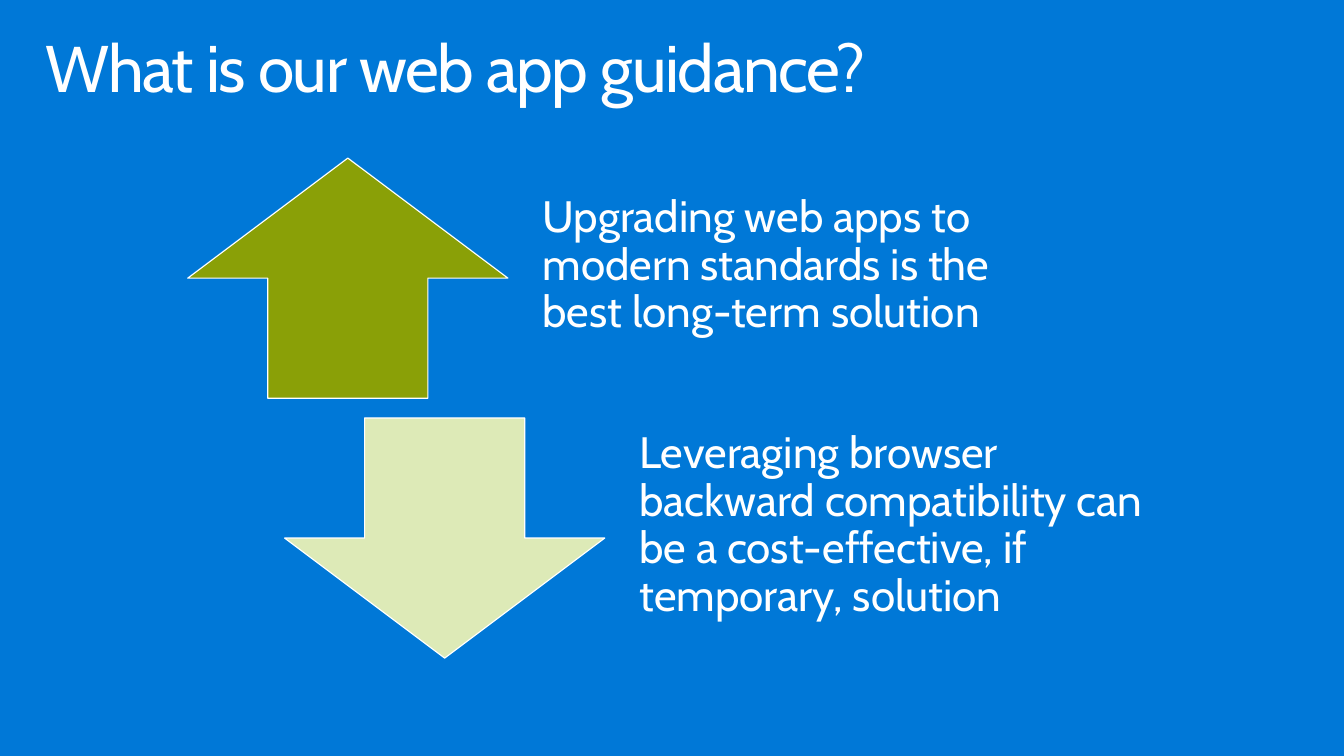
import pptx
import pptx.util
import pptx.dml.color
import pptx.enum.shapes
import pptx.enum.text

Inches = pptx.util.Inches
Pt = pptx.util.Pt
Shape = pptx.enum.shapes.MSO_SHAPE
Anchor = pptx.enum.text.MSO_ANCHOR


def color(value):
    return pptx.dml.color.RGBColor.from_string(value)


def write(box, text, size, line_spacing, anchor, margins):
    frame = box.text_frame
    frame.word_wrap = True
    frame.auto_size = pptx.enum.text.MSO_AUTO_SIZE.NONE
    frame.vertical_anchor = anchor
    frame.margin_left, frame.margin_top, frame.margin_right, frame.margin_bottom = map(Inches, margins)
    para = frame.paragraphs[0]
    para.text = text
    para.alignment = pptx.enum.text.PP_ALIGN.LEFT
    para.line_spacing = line_spacing
    para.space_before = Pt(0)
    para.font.name = "Cabin"
    para.font.size = Pt(size)
    para.font.color.rgb = color("FFFFFF")
    return para


deck = pptx.Presentation()
deck.slide_width = Inches(13.6)
deck.slide_height = Inches(7.65)
page = deck.slides.add_slide(deck.slide_layouts[5])
page.background.fill.solid()
page.background.fill.fore_color.rgb = color("0078D7")

title = page.shapes.title
title.left, title.top, title.width, title.height = map(Inches, (0.3, 0.32, 13, 1))
heading = write(title, "What is our web app guidance?", 48, 0.8, Anchor.TOP, (0.16, 0.1, 0.16, 0.1))
heading.runs[0].font._element.set("spc", "-100")

options = [
    (Shape.UP_ARROW, 1.9, 1.6, "8AA007",
     "Upgrading web apps to modern standards is the best long-term solution"),
    (Shape.DOWN_ARROW, 2.88, 4.23, "DDEAB7",
     "Leveraging browser backward compatibility can be a cost-effective, if temporary, solution"),
]
for kind, left, top, fill, text in options:
    arrow = page.shapes.add_shape(kind, Inches(left), Inches(top), Inches(3.24), Inches(2.43))
    arrow.shadow.inherit = False
    arrow.fill.solid()
    arrow.fill.fore_color.rgb = color(fill)
    arrow.line.color.rgb = color("FFFFFF")
    arrow.line.width = Pt(0.85)

    box = page.shapes.add_textbox(Inches(left + 3.34), Inches(top), Inches(5.75), Inches(2.43))
    write(box, text, 32, 0.9, Anchor.MIDDLE, (0.25, 0, 0.25, 0.25))

deck.save("out.pptx")
